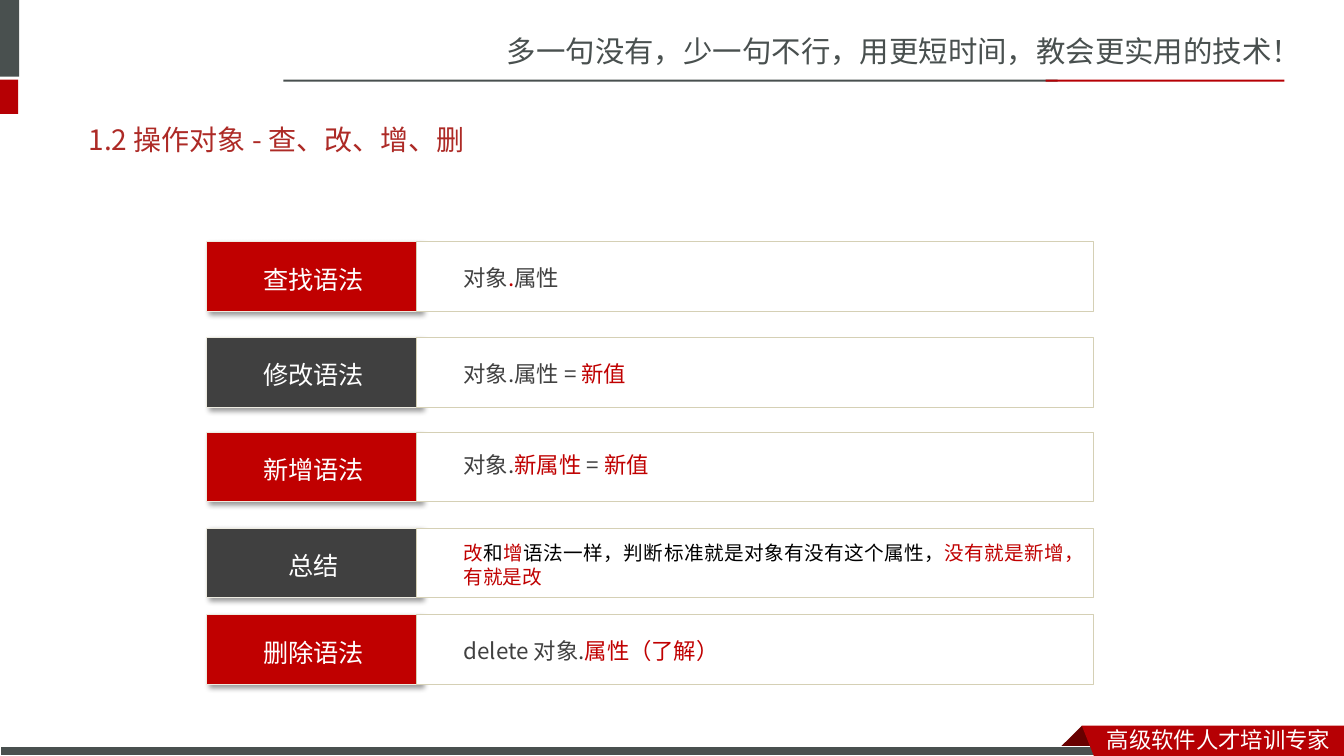
from lxml.etree import SubElement
from pptx import Presentation
from pptx.dml.color import RGBColor
from pptx.enum.lang import MSO_LANGUAGE_ID
from pptx.enum.shapes import MSO_SHAPE
from pptx.enum.text import MSO_ANCHOR, PP_ALIGN
from pptx.oxml.ns import qn
from pptx.util import Inches, Pt

# Colours and fonts
RED = RGBColor(0xC0, 0x00, 0x00)
DARK = RGBColor(0x40, 0x40, 0x40)
BLACK = RGBColor(0x00, 0x00, 0x00)
WHITE = RGBColor(0xFF, 0xFF, 0xFF)
BRAND_RED = RGBColor(0xB6, 0x00, 0x04)
BRAND_GRAY = RGBColor(0x49, 0x50, 0x4F)
FOLD_RED = RGBColor(0x68, 0x00, 0x00)
TITLE_RED = RGBColor(0xAD, 0x2A, 0x26)
LABEL_LINE = RGBColor(0xEE, 0xEC, 0xE1)
PANEL_LINE = RGBColor(0xD5, 0xD0, 0xB5)
BODY_FONT = "Noto Sans CJK JP"
FRAME_FONT = "Noto Sans CJK SC"

# Content
SLOGAN = "多一句没有，少一句不行，用更短时间，教会更实用的技术！"
TITLE = "1.2 操作对象 - 查、改、增、删"
FOOTER = "高级软件人才培训专家"
# label, label colour, text size, text alignment, coloured runs
ROWS = [
    ("查找语法", RED, 16, PP_ALIGN.LEFT,
     [("对象", DARK), (".", RED), ("属性", DARK)]),
    ("修改语法", DARK, 16, PP_ALIGN.LEFT,
     [("对象.属性 = ", DARK), ("新值", RED)]),
    ("新增语法", RED, 16, PP_ALIGN.LEFT,
     [("对象.", DARK), ("新属性 ", RED), ("= ", DARK), ("新值", RED)]),
    ("总结", DARK, 14, PP_ALIGN.JUSTIFY,
     [("改", RED), ("和", BLACK), ("增", RED),
      ("语法一样，判断标准就是对象有没有这个属性，", BLACK),
      ("没有就是新增，有就是改", RED)]),
    ("删除语法", RED, 16, PP_ALIGN.LEFT,
     [("delete 对象.", DARK), ("属性（了解）", RED)]),
]

# Layout in inches
WIDTH, HEIGHT = 13.33, 7.5
ROW_TOPS = [2.4, 3.35, 4.29, 5.24, 6.1]
TEXT_OFFSETS = [0.17, 0.17, 0.14, 0.08, 0.17]
ROW_HEIGHT = 0.69
FRAME_BARS = [
    ((0, 0, 0.19, 0.76), BRAND_GRAY),
    ((0, 0.79, 0.18, 0.34), BRAND_RED),
    ((2.81, 0.79, 7.68, 0.02), BRAND_GRAY),
    ((10.37, 0.79, 2.37, 0.02), BRAND_RED),
]
FOOTER_BAR = (0, 7.41, 10.99, HEIGHT - 7.41)
RIBBON_FOLD = [(10.73, 7.2), (10.95, 7.42), (10.94, 7.43), (10.52, 7.43), (10.51, 7.42)]
RIBBON = [(10.73, 7.2), (WIDTH, 7.2), (WIDTH, HEIGHT), (10.85, HEIGHT)]


def paint(shape, fill, line=None):
    shape.shadow.inherit = False
    shape.fill.solid()
    shape.fill.fore_color.rgb = fill
    if line is None:
        shape.line.fill.background()
    else:
        shape.line.color.rgb = line
        shape.line.width = Pt(0.75)


def add_box(shapes, place, fill, line=None):
    shape = shapes.add_shape(MSO_SHAPE.RECTANGLE, *map(Inches, place))
    paint(shape, fill, line)
    return shape


def add_outline(shapes, points, fill):
    corners = [(Inches(x), Inches(y)) for x, y in points]
    builder = shapes.build_freeform(*corners[0])
    builder.add_line_segments(corners[1:], close=True)
    paint(builder.convert_to_shape(), fill)


def add_text(shapes, place, runs, size, font=BODY_FONT,
             align=PP_ALIGN.LEFT, anchor=MSO_ANCHOR.TOP):
    frame = shapes.add_textbox(*map(Inches, place)).text_frame
    frame.word_wrap = True
    frame.vertical_anchor = anchor
    paragraph = frame.paragraphs[0]
    paragraph.alignment = align
    formats = {"size": Pt(size), "name": font,
               "language_id": MSO_LANGUAGE_ID.SIMPLIFIED_CHINESE}
    for text, color in runs:
        run = paragraph.add_run()
        run.text = text
        for name, value in formats.items():
            setattr(run.font, name, value)
        run.font.color.rgb = color
        SubElement(run.font._element, qn("a:ea"), typeface=font)


def add_shadow(shape):
    effects = shape._element.spPr.find(qn("a:effectLst"))
    shadow = SubElement(effects, qn("a:outerShdw"), blurRad=str(Pt(4)), dist=str(Pt(3)),
                        dir=str(45 * 60000), algn="tl", rotWithShape="0")
    color = SubElement(shadow, qn("a:srgbClr"), val=str(BLACK))
    SubElement(color, qn("a:alpha"), val="40000")


def add_row(shapes, top, offset, row):
    label, color, size, align, runs = row
    tab = add_box(shapes, (2.05, top, 2.12, ROW_HEIGHT), color, LABEL_LINE)
    add_shadow(tab)
    add_text(shapes, (2.1, top + 0.17, 2.02, 0.4), [(label, WHITE)], 18,
             align=PP_ALIGN.CENTER)
    add_box(shapes, (4.13, top, 6.72, ROW_HEIGHT), WHITE, PANEL_LINE)
    add_text(shapes, (4.5, top + offset, 6.16, 0.37), runs, size, align=align)


def main():
    presentation = Presentation()
    presentation.slide_width = Inches(WIDTH)
    presentation.slide_height = Inches(HEIGHT)
    slide = presentation.slides.add_slide(presentation.slide_layouts[6])
    shapes = slide.shapes

    # Header with slogan and rules
    add_text(shapes, (4.93, 0.28, 8.4, 0.47), [(SLOGAN, BRAND_GRAY)], 21, FRAME_FONT)
    for place, color in FRAME_BARS:
        add_box(shapes, place, color)

    # Footer ribbon
    add_outline(shapes, RIBBON_FOLD, FOLD_RED)
    add_box(shapes, FOOTER_BAR, BRAND_GRAY, WHITE)
    add_outline(shapes, RIBBON, BRAND_RED)
    add_text(shapes, (10.88, 7.15, 2.45, 0.35), [(FOOTER, WHITE)], 16, FRAME_FONT)

    # Title
    add_text(shapes, (0.78, 1.1, 11.75, 0.57), [(TITLE, TITLE_RED)], 20,
             anchor=MSO_ANCHOR.MIDDLE)

    # Syntax rows, one group each
    for top, offset, row in zip(ROW_TOPS, TEXT_OFFSETS, ROWS):
        add_row(shapes.add_group_shape().shapes, top, offset, row)

    presentation.save("out.pptx")


if __name__ == "__main__":
    main()
